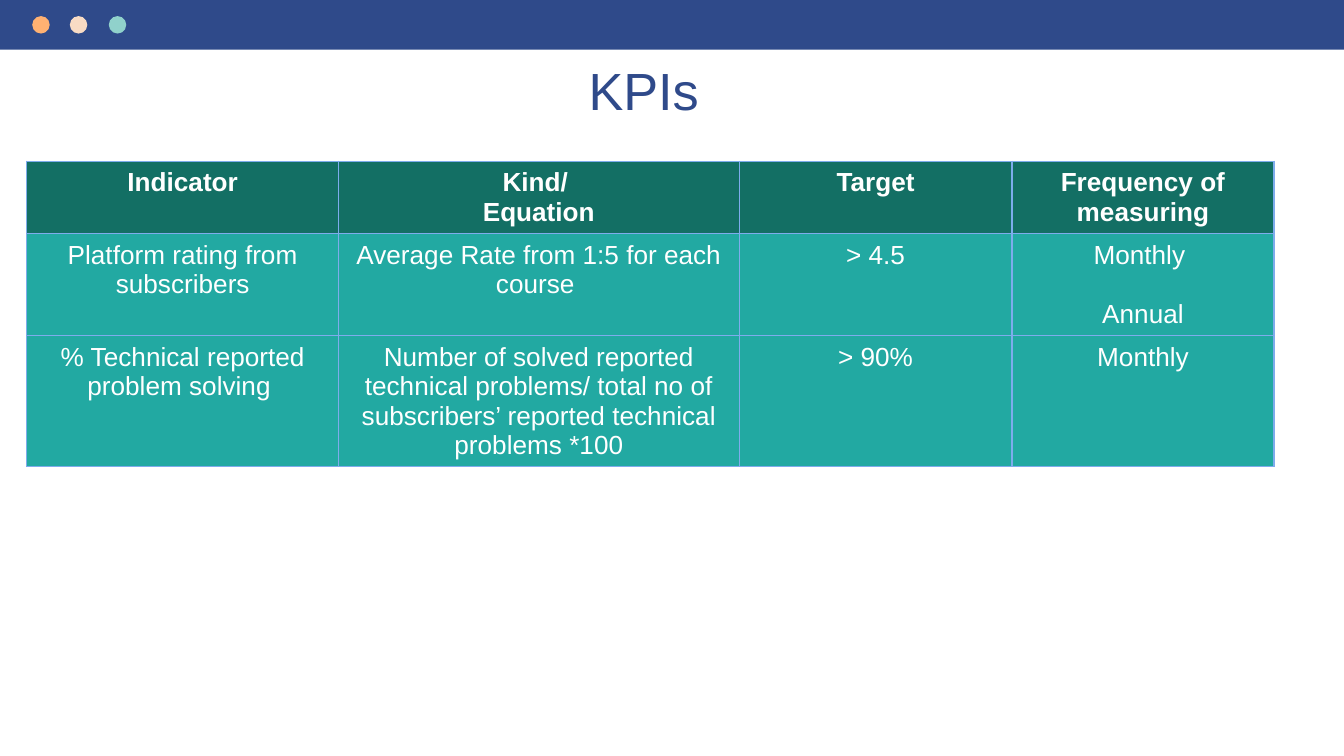
from dataclasses import dataclass

from lxml import etree
from pptx import Presentation
from pptx import util as u
from pptx.dml.color import RGBColor
from pptx.enum import shapes, text
from pptx.oxml import ns

NAVY = RGBColor(0x2F, 0x4A, 0x8A)
ORANGE = RGBColor(0xFF, 0xB1, 0x72)
CREAM = RGBColor(0xF8, 0xDB, 0xC4)
AQUA = RGBColor(0x90, 0xD1, 0xCB)
DARK_TEAL = RGBColor(0x13, 0x6F, 0x64)
TEAL = RGBColor(0x22, 0xA9, 0xA2)
BORDER_BLUE = RGBColor(0x7E, 0xAC, 0xEC)
WHITE = RGBColor(0xFF, 0xFF, 0xFF)

FONT = "Arial"
SLIDE_WIDTH = u.Inches(10)
SLIDE_HEIGHT = SLIDE_WIDTH * 9 // 16
LINE_GAP = u.Pt(16)  # one blank line between separate frequencies


@dataclass
class Block:
    kind: shapes.MSO_SHAPE
    left: float
    top: float
    width: float
    height: float
    color: RGBColor


@dataclass
class CellStyle:
    fill: RGBColor
    bold: bool
    paragraph_gap: int


HEADER = CellStyle(DARK_TEAL, True, 0)
BODY = CellStyle(TEAL, False, LINE_GAP)

BLOCKS = [Block(shapes.MSO_SHAPE.RECTANGLE, 0, 0, 10, 0.37, NAVY)] + [
    Block(shapes.MSO_SHAPE.OVAL, left, 0.12, 0.13, 0.13, color)
    for left, color in ((0.24, ORANGE), (0.52, CREAM), (0.81, AQUA))
]

COLUMN_WIDTHS = (2.32, 2.98, 2.03, 1.95)
ROW_HEIGHTS = (0.54, 0.61, 0.5)
KPI_ROWS = [
    ("Indicator", "Kind/ \nEquation", "Target", "Frequency of measuring"),
    ("Platform rating from subscribers", "Average Rate from 1:5 for each course ",
     "> 4.5", "Monthly \nAnnual"),
    ("% Technical reported problem solving ",
     "Number of solved reported technical problems/ total no of "
     "subscribers’ reported technical problems *100",
     "> 90%", "Monthly"),
]


def apply_format(target, values: dict) -> None:
    for name, value in values.items():
        setattr(target, name, value)


def format_paragraph(paragraph, size: float, color: RGBColor, bold: bool) -> None:
    paragraph.alignment = text.PP_ALIGN.CENTER
    apply_format(paragraph.font, {"name": FONT, "size": u.Pt(size), "bold": bold})
    paragraph.font.color.rgb = color


def draw_block(slide, block: Block) -> None:
    shape = slide.shapes.add_shape(
        block.kind, *map(u.Inches, (block.left, block.top, block.width, block.height)))
    shape.shadow.inherit = False
    shape.fill.solid()
    shape.fill.fore_color.rgb = block.color
    shape.line.fill.background()


def draw_title(slide, wording: str) -> None:
    title = slide.shapes.title
    apply_format(title, {"left": u.Inches(3.7), "top": u.Inches(0.33),
                         "width": u.Inches(2.18), "height": u.Inches(0.51)})
    apply_format(title.text_frame, {
        "text": wording, "word_wrap": True,
        "auto_size": text.MSO_AUTO_SIZE.NONE,
        "vertical_anchor": text.MSO_ANCHOR.TOP,
        **{f"margin_{side}": u.Inches(0.1)
           for side in ("left", "top", "right", "bottom")},
    })
    format_paragraph(title.text_frame.paragraphs[0], 28, NAVY, False)


def add_borders(cell, color: RGBColor, width: float) -> None:
    properties = cell._tc.get_or_add_tcPr()
    for position, side in enumerate(("a:lnL", "a:lnR", "a:lnT", "a:lnB")):
        line = etree.Element(ns.qn(side), w=str(u.Pt(width)))
        fill = etree.SubElement(line, ns.qn("a:solidFill"))
        etree.SubElement(fill, ns.qn("a:srgbClr"), val=str(color))
        properties.insert(position, line)


def fill_cell(cell, wording: str, style: CellStyle) -> None:
    cell.text = wording
    for index, paragraph in enumerate(cell.text_frame.paragraphs):
        format_paragraph(paragraph, 14, WHITE, style.bold)
        if index and style.paragraph_gap:
            paragraph.space_before = style.paragraph_gap
    cell.fill.solid()
    cell.fill.fore_color.rgb = style.fill
    add_borders(cell, BORDER_BLUE, 0.75)


def draw_table(slide) -> None:
    table = slide.shapes.add_table(
        len(KPI_ROWS), len(COLUMN_WIDTHS), u.Inches(0.2), u.Inches(1.2),
        u.Inches(sum(COLUMN_WIDTHS)), u.Inches(sum(ROW_HEIGHTS))).table
    apply_format(table, {"first_row": False, "horz_banding": False})
    for column, width in zip(table.columns, COLUMN_WIDTHS):
        column.width = u.Inches(width)
    for row, height, wordings in zip(table.rows, ROW_HEIGHTS, KPI_ROWS):
        row.height = u.Inches(height)
        style = HEADER if wordings is KPI_ROWS[0] else BODY
        for cell, wording in zip(row.cells, wordings):
            fill_cell(cell, wording, style)


def main() -> None:
    presentation = Presentation()
    apply_format(presentation, {"slide_width": SLIDE_WIDTH,
                                "slide_height": SLIDE_HEIGHT})
    slide = presentation.slides.add_slide(presentation.slide_layouts[5])

    # Top bar with its three dots
    for block in BLOCKS:
        draw_block(slide, block)

    # Title and indicator table
    draw_title(slide, "KPIs")
    draw_table(slide)

    presentation.save("out.pptx")


if __name__ == "__main__":
    main()
